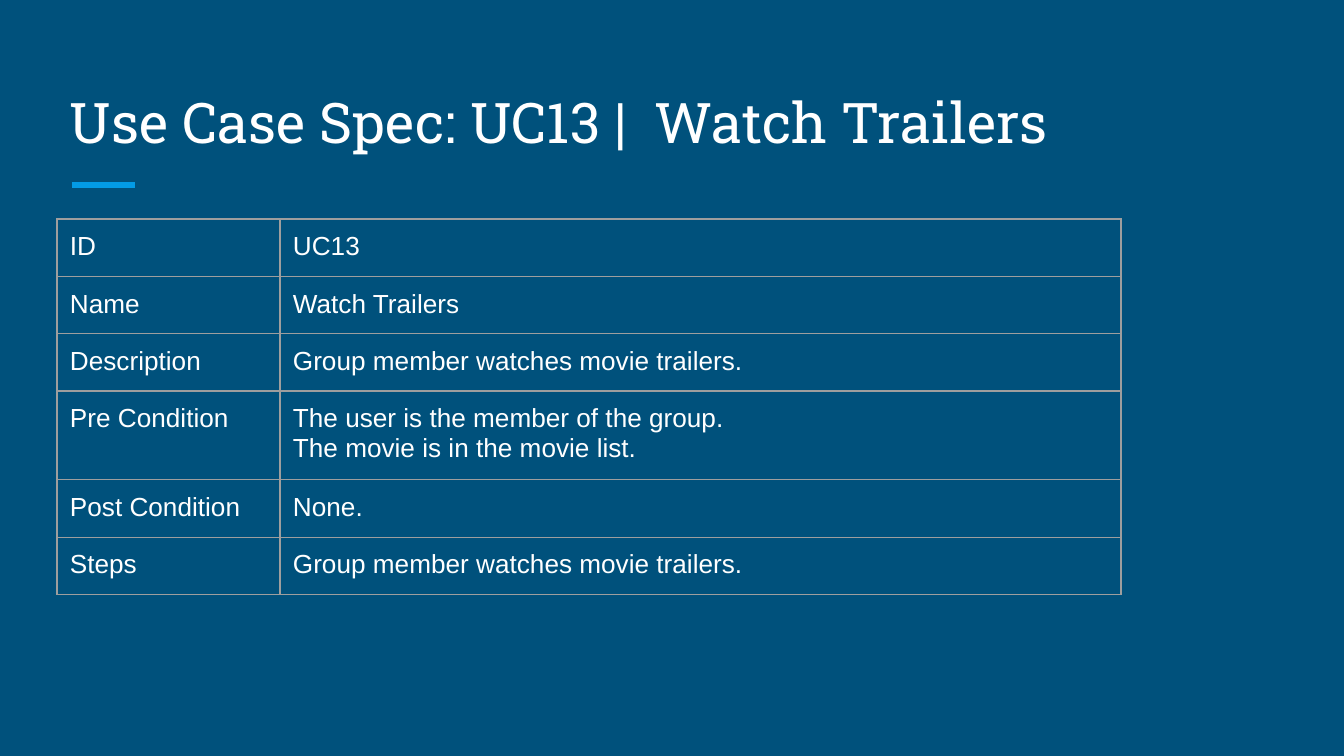
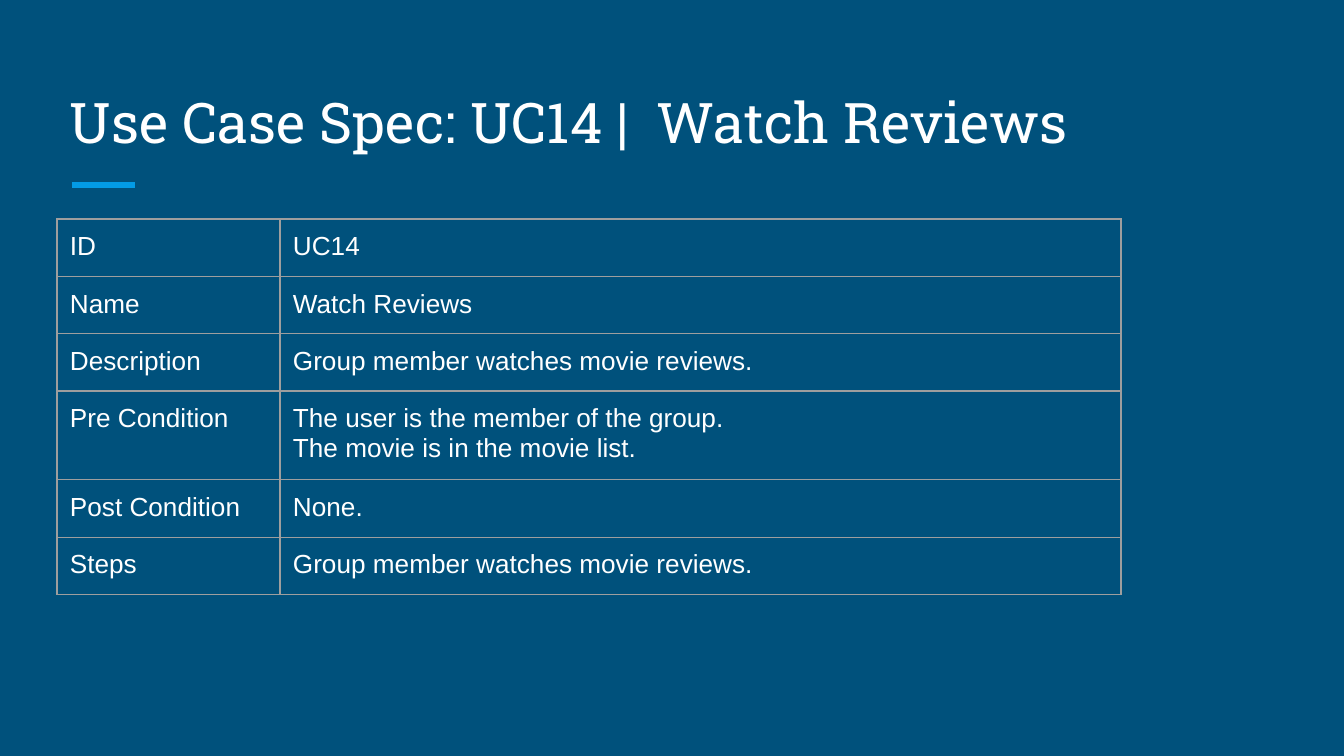
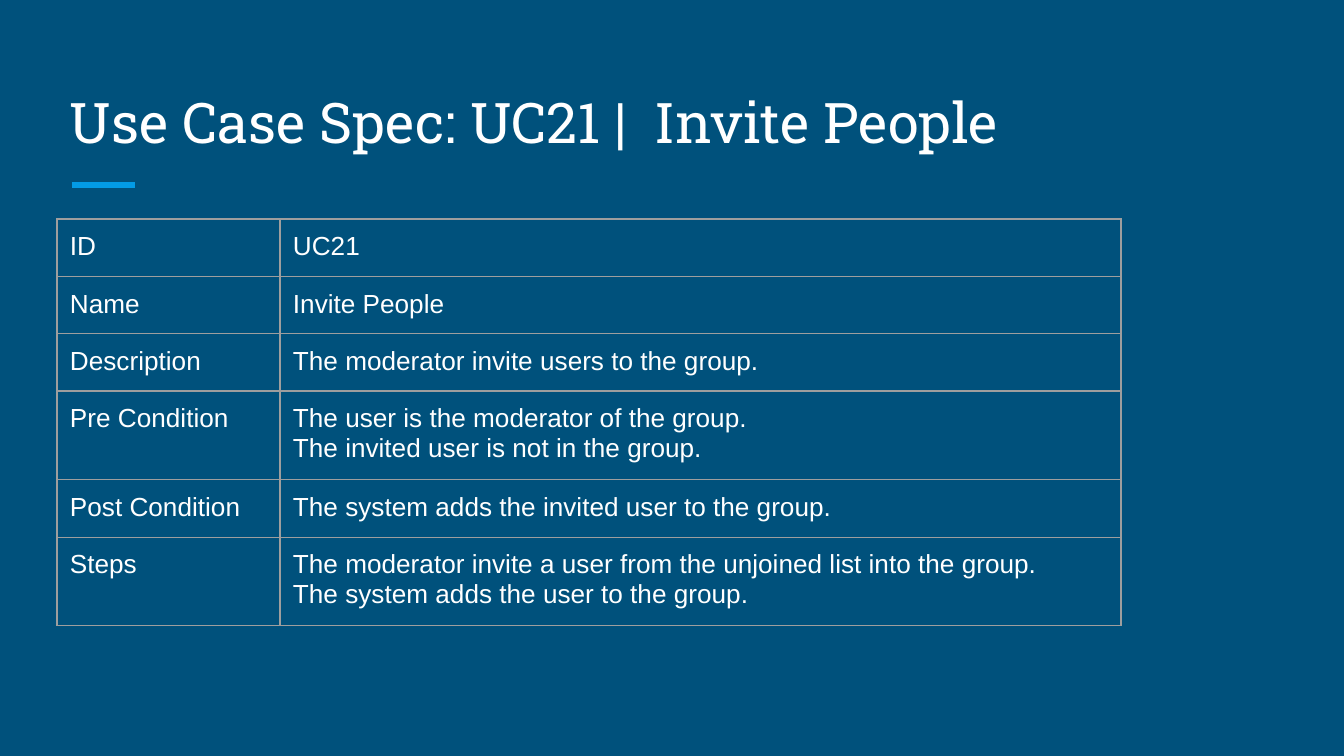
"""Build three use case specification slides, each with a title, a rule and a table."""
from lxml import etree
from pptx import Presentation
from pptx.dml.color import RGBColor
from pptx.enum.shapes import MSO_CONNECTOR
from pptx.enum.text import MSO_ANCHOR
from pptx.oxml import parse_xml
from pptx.oxml.ns import nsdecls, qn
from pptx.util import Emu, Pt

LINE = MSO_CONNECTOR.STRAIGHT
BOTTOM, TOP = MSO_ANCHOR.BOTTOM, MSO_ANCHOR.TOP

LABELS = ["ID", "Name", "Description", "Pre Condition", "Post Condition", "Steps"]
MEMBER = ["The user is the member of the group.", "The movie is in the movie list."]
CASES = [
    ("UC13", "Watch Trailers", ["Group member watches movie trailers."], MEMBER,
     ["None."], ["Group member watches movie trailers."]),
    ("UC14", "Watch Reviews", ["Group member watches movie reviews."], MEMBER,
     ["None."], ["Group member watches movie reviews."]),
    ("UC21", "Invite People", ["The moderator invite users to the group."],
     ["The user is the moderator of the group.",
      "The invited user is not in the group."],
     ["The system adds the invited user to the group."],
     ["The moderator invite a user from the unjoined list into the group.",
      "The system adds the user to the group."]),
]

BACK, ACCENT, GRID, WHITE = "00517C", "039BE5", "9E9E9E", "FFFFFF"
HEAD, BODY = "Roboto Slab", "Arial"
WIDE, HIGH = 1344, 756
LEFT, TITLE_TOP, TITLE_WIDE, TITLE_HIGH = 57, 67, 1230, 101
RULE_LEFT, RULE_RIGHT, RULE_TOP = 72, 135, 185
TABLE_TOP, COLS, ROW, STEP = 219, (223, 841), 56, 29
PAD = 13


def px(count):
    return Emu(round(count * 914400 / 134.4))


def color(code):
    return RGBColor.from_string(code)


def style(para, face, size):
    font = para.font
    font.name, font.size = face, Pt(size)
    font.color.rgb = color(WHITE)


def pad(box):
    box.margin_left = box.margin_right = px(PAD)
    box.margin_top = box.margin_bottom = px(PAD)


def add_title(slide, text):
    box = slide.shapes.add_textbox(
        px(LEFT), px(TITLE_TOP), px(TITLE_WIDE), px(TITLE_HIGH))
    frame = box.text_frame
    frame.word_wrap = True
    frame.vertical_anchor = BOTTOM
    pad(frame)
    frame.text = text
    style(frame.paragraphs[0], HEAD, 30)


def add_rule(slide):
    rule = slide.shapes.add_connector(
        LINE, px(RULE_LEFT), px(RULE_TOP), px(RULE_RIGHT), px(RULE_TOP))
    rule.line.color.rgb = color(ACCENT)
    rule.line.width = Pt(3)
    etree.SubElement(rule._element.spPr, qn("a:effectLst"))


def add_edges(cell):
    props = cell._tc.get_or_add_tcPr()
    for spot, side in enumerate("LRTB"):
        props.insert(spot, parse_xml(
            f'<a:ln{side} {nsdecls("a")} w="{Pt(0.75)}"><a:solidFill>'
            f'<a:srgbClr val="{GRID}"/></a:solidFill></a:ln{side}>'))


def fill_cell(cell, lines):
    cell.text = "\n".join(lines)
    cell.vertical_anchor = TOP
    pad(cell)
    cell.fill.background()
    add_edges(cell)
    for para in cell.text_frame.paragraphs:
        style(para, BODY, 14)


def add_table(slide, values):
    highs = [ROW + STEP * (len(lines) - 1) for lines in values]
    table = slide.shapes.add_table(
        len(values), len(COLS), px(LEFT), px(TABLE_TOP),
        px(sum(COLS)), px(sum(highs))).table
    table.first_row = table.horz_banding = False
    for col, wide in zip(table.columns, COLS):
        col.width = px(wide)
    for row, high, label, lines in zip(table.rows, highs, LABELS, values):
        row.height = px(high)
        fill_cell(row.cells[0], [label])
        fill_cell(row.cells[1], lines)


def main():
    deck = Presentation()
    deck.slide_width, deck.slide_height = px(WIDE), px(HIGH)
    for code, name, *rest in CASES:
        slide = deck.slides.add_slide(deck.slide_layouts[6])
        slide.background.fill.solid()
        slide.background.fill.fore_color.rgb = color(BACK)
        add_rule(slide)
        add_title(slide, f"Use Case Spec: {code} |  {name}")
        add_table(slide, [[code], [name], *rest])
    deck.save("out.pptx")


if __name__ == "__main__":
    main()
